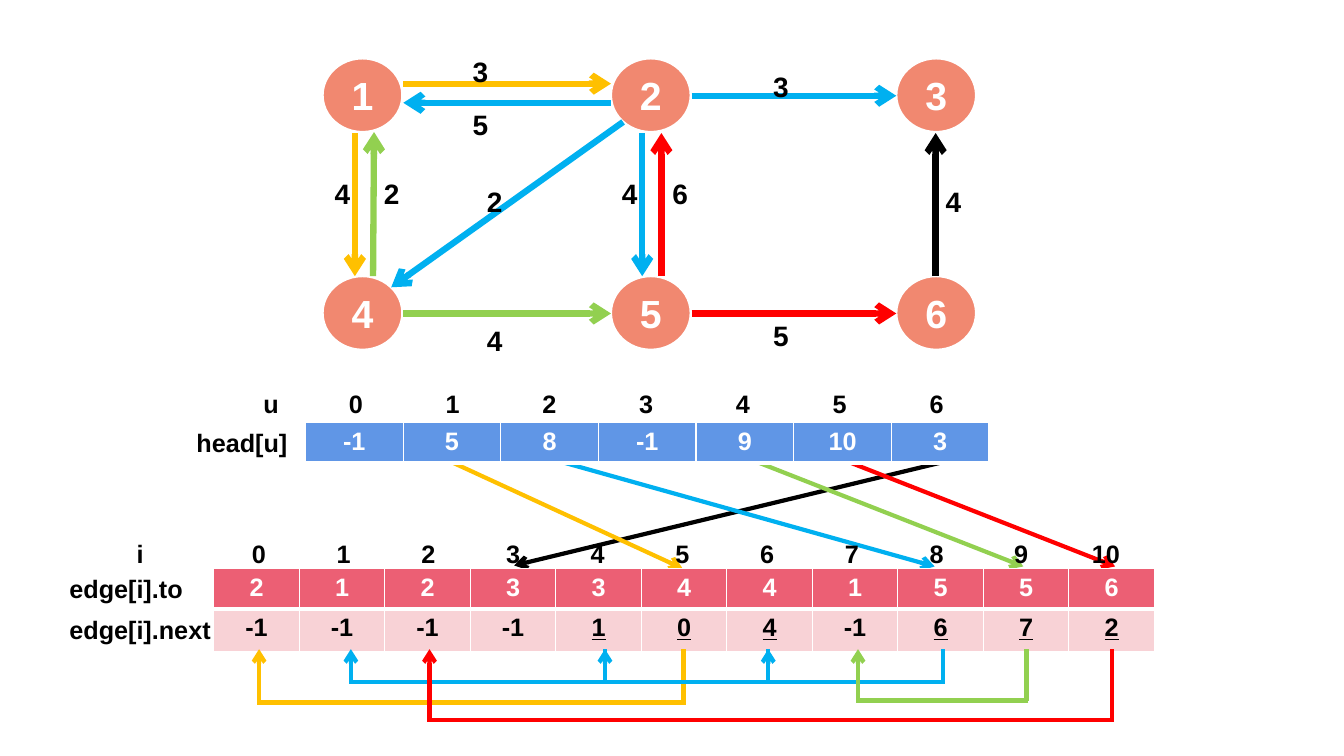
from pptx import Presentation
from pptx.dml.color import RGBColor
from pptx.enum import shapes as kinds, text as txt
from pptx.oxml import parse_xml
from pptx.oxml.ns import nsdecls, qn
from pptx.util import Emu, Inches, Pt

BLACK = RGBColor(0x00, 0x00, 0x00)
WHITE = RGBColor(0xFF, 0xFF, 0xFF)
BLUE = RGBColor(0x00, 0xB0, 0xF0)
YELLOW = RGBColor(0xFF, 0xC0, 0x00)
GREEN = RGBColor(0x92, 0xD0, 0x50)
RED = RGBColor(0xFF, 0x00, 0x00)
CORAL = RGBColor(0xF1, 0x88, 0x70)
HEAD_FILL = RGBColor(0x60, 0x96, 0xE6)
TO_FILL = RGBColor(0xEC, 0x5F, 0x74)
NEXT_FILL = RGBColor(0xF8, 0xD2, 0xD6)

NODE_WIDTH, NODE_HEIGHT = 0.79, 0.73
NODES = [("1", 0, 0), ("2", 2.86, 0), ("3", 5.69, 0),
         ("4", 0, 2.16), ("5", 2.86, 2.16), ("6", 5.69, 2.16)]
EDGES = [
    (3.66, 0.37, 5.69, 0.37, BLUE, "3", 4.37, 0.06),
    (3.66, 2.53, 5.69, 2.53, RED, "5", 4.37, 2.53),
    (0.8, 0.25, 2.86, 0.25, YELLOW, "3", 1.39, -0.09),
    (0.8, 2.53, 2.86, 2.53, GREEN, "4", 1.53, 2.58),
    (2.86, 0.44, 0.8, 0.44, BLUE, "5", 1.39, 0.44),
    (3.36, 2.16, 3.36, 0.74, RED, "6", 3.37, 1.12),
    (6.08, 2.16, 6.08, 0.74, BLACK, "4", 6.08, 1.2),
    (0.5, 2.16, 0.51, 0.73, GREEN, "2", 0.51, 1.12),
    (0.32, 0.74, 0.32, 2.16, YELLOW, "4", 0.02, 1.12),
    (3.17, 0.74, 3.17, 2.16, BLUE, "4", 2.87, 1.12),
    (2.98, 0.63, 0.68, 2.27, BLUE, "2", 1.53, 1.2),
]
HEAD = [-1, 5, 8, -1, 9, 10, 3]
EDGE_TO = [2, 1, 2, 3, 3, 4, 4, 1, 5, 5, 6]
EDGE_NEXT = [-1, -1, -1, -1, 1, 0, 4, -1, 6, 7, 2]
HEAD_POINTERS = [(6.34, 2.07, 1.03, BLACK), (2.53, 6.24, 1.04, BLUE),
                 (1.44, 3.74, 1.06, YELLOW), (4.47, 7.12, 1.04, GREEN),
                 (5.38, 8.03, 1.04, RED)]
NEXT_CHAINS = [(YELLOW, 0.53, [4.66, 0.45]),
               (BLUE, 0.33, [7.23, 5.5, 3.88, 1.36]),
               (GREEN, 0.51, [8.06, 6.39]),
               (RED, 0.7, [8.91, 2.14])]


def style(paragraph, size, color):
    font = paragraph.font
    font.name, font.size, font.bold = "Arial", Pt(size), True
    font.color.rgb = color


def draw_line(shapes, start, end, color, width, arrow=True):
    line = shapes.add_connector(kinds.MSO_CONNECTOR.STRAIGHT,
                                *(Inches(v) for v in (*start, *end)))
    line.line.color.rgb = color
    line.line.width = Pt(width)
    properties = line._element.spPr
    if arrow:
        properties.find(qn("a:ln")).append(
            parse_xml(f'<a:tailEnd {nsdecls("a")} type="arrow"/>'))
    properties.append(parse_xml(f'<a:effectLst {nsdecls("a")}/>'))


def draw_label(shapes, left, top, width, words, size=18):
    label = shapes.add_textbox(Inches(left), Inches(top), Inches(width),
                               Inches(0.44 if size == 20 else 0.4))
    label.text_frame.word_wrap = True
    paragraph = label.text_frame.paragraphs[0]
    paragraph.add_run().text = words
    style(paragraph, size, BLACK)
    return paragraph


def draw_indices(shapes, left, top, width, name, name_at, first, pitch, count):
    words = "\t" + "\t".join([name, *map(str, range(count))])
    paragraph = draw_label(shapes, left, top, width, words)
    stops = [name_at] + [first + pitch * n for n in range(count)]
    tabs = "".join(f'<a:tab pos="{Inches(stop)}" algn="ctr"/>' for stop in stops)
    paragraph._p.get_or_add_pPr().insert(
        0, parse_xml(f'<a:tabLst {nsdecls("a")}>{tabs}</a:tabLst>'))


def draw_graph(slide, left, top):
    shapes = slide.shapes.add_group_shape().shapes
    for name, x, y in NODES:
        node = shapes.add_shape(kinds.MSO_SHAPE.OVAL, Inches(left + x), Inches(top + y),
                                Inches(NODE_WIDTH), Inches(NODE_HEIGHT))
        node.shadow.inherit = False
        node.fill.solid()
        node.fill.fore_color.rgb = CORAL
        node.line.color.rgb = WHITE
        node.line.width = Pt(1.5)
        node.text_frame.vertical_anchor = txt.MSO_ANCHOR.MIDDLE
        paragraph = node.text_frame.paragraphs[0]
        paragraph.text = name
        paragraph.alignment = txt.PP_ALIGN.CENTER
        style(paragraph, 28, WHITE)
    for x1, y1, x2, y2, color, *_ in EDGES:
        draw_line(shapes, (left + x1, top + y1), (left + x2, top + y2), color, 4.5)
    for *_, weight, x, y in EDGES:
        draw_label(shapes, left + x, top + y, 0.6, weight, 20)


def draw_head_pointers(slide, left, top):
    for x1, x2, drop, color in HEAD_POINTERS:
        draw_line(slide.shapes, (left + x1, top), (left + x2, top + drop), color, 3)


def draw_borders(cell, top, bottom):
    properties = cell._tc.get_or_add_tcPr()
    for place, (side, width) in enumerate(
            [("L", 1), ("R", 1), ("T", top), ("B", bottom)]):
        properties.insert(place, parse_xml(
            f'<a:ln{side} {nsdecls("a")} w="{Pt(width)}"><a:solidFill>'
            f'<a:srgbClr val="{WHITE}"/></a:solidFill></a:ln{side}>'))


def draw_array(slide, left, top, width, rows):
    columns = len(rows[0][0])
    total = sum(height for _, height, _, _ in rows)
    array = slide.shapes.add_table(len(rows), columns, Inches(left), Inches(top),
                                   Inches(width), Inches(total)).table
    array.horz_banding = False
    for column in array.columns:
        column.width = Emu(Inches(width) // columns)
    for r, (values, height, fill, color) in enumerate(rows):
        array.rows[r].height = Inches(height)
        for c, value in enumerate(values):
            cell = array.cell(r, c)
            cell.fill.solid()
            cell.fill.fore_color.rgb = fill
            draw_borders(cell, 3 if r else 1, 1 if r else 3)
            paragraph = cell.text_frame.paragraphs[0]
            paragraph.text = str(value)
            paragraph.alignment = txt.PP_ALIGN.CENTER
            style(paragraph, 18, color)
            if r and value >= 0:
                paragraph.font.underline = True


def draw_head(slide, left, top):
    draw_array(slide, left, top, 6.78, [(HEAD, 0.4, HEAD_FILL, WHITE)])
    draw_label(slide.shapes, left - 1.18, top, 1.4, "head[u]")
    draw_indices(slide.shapes, left - 1.21, top - 0.39, 7.99, "u", 0.77, 1.61, 0.96, 7)


def draw_edges(slide, left, top):
    draw_array(slide, left, top, 9.33, [(EDGE_TO, 0.38, TO_FILL, WHITE),
                                        (EDGE_NEXT, 0.42, NEXT_FILL, BLACK)])
    draw_label(slide.shapes, left - 1.53, top, 1.4, "edge[i].to")
    draw_label(slide.shapes, left - 1.53, top + 0.41, 1.7, "edge[i].next")
    draw_indices(slide.shapes, left - 1.55, top - 0.35, 10.78, "i", 0.72, 1.9, 0.84, 11)


def draw_next_chains(slide, left, top):
    for color, depth, stops in NEXT_CHAINS:
        shapes = slide.shapes.add_group_shape().shapes
        bottom = top + depth
        for source, target in zip(stops, stops[1:]):
            x1, x2 = left + source, left + target
            draw_line(shapes, (x1, top), (x1, bottom), color, 3, False)
            draw_line(shapes, (x1 + 0.02, bottom), (x2 - 0.02, bottom), color, 3, False)
            draw_line(shapes, (x2, bottom), (x2, top), color, 3)


def main():
    deck = Presentation()
    deck.slide_width, deck.slide_height = Inches(13.33), Inches(7.5)
    slide = deck.slides.add_slide(deck.slide_layouts[6])
    draw_head_pointers(slide, 3.03, 4.58)
    draw_graph(slide, 3.2, 0.58)
    draw_edges(slide, 2.12, 5.64)
    draw_head(slide, 3.03, 4.19)
    draw_next_chains(slide, 2.12, 6.44)
    deck.save("out.pptx")


if __name__ == "__main__":
    main()
